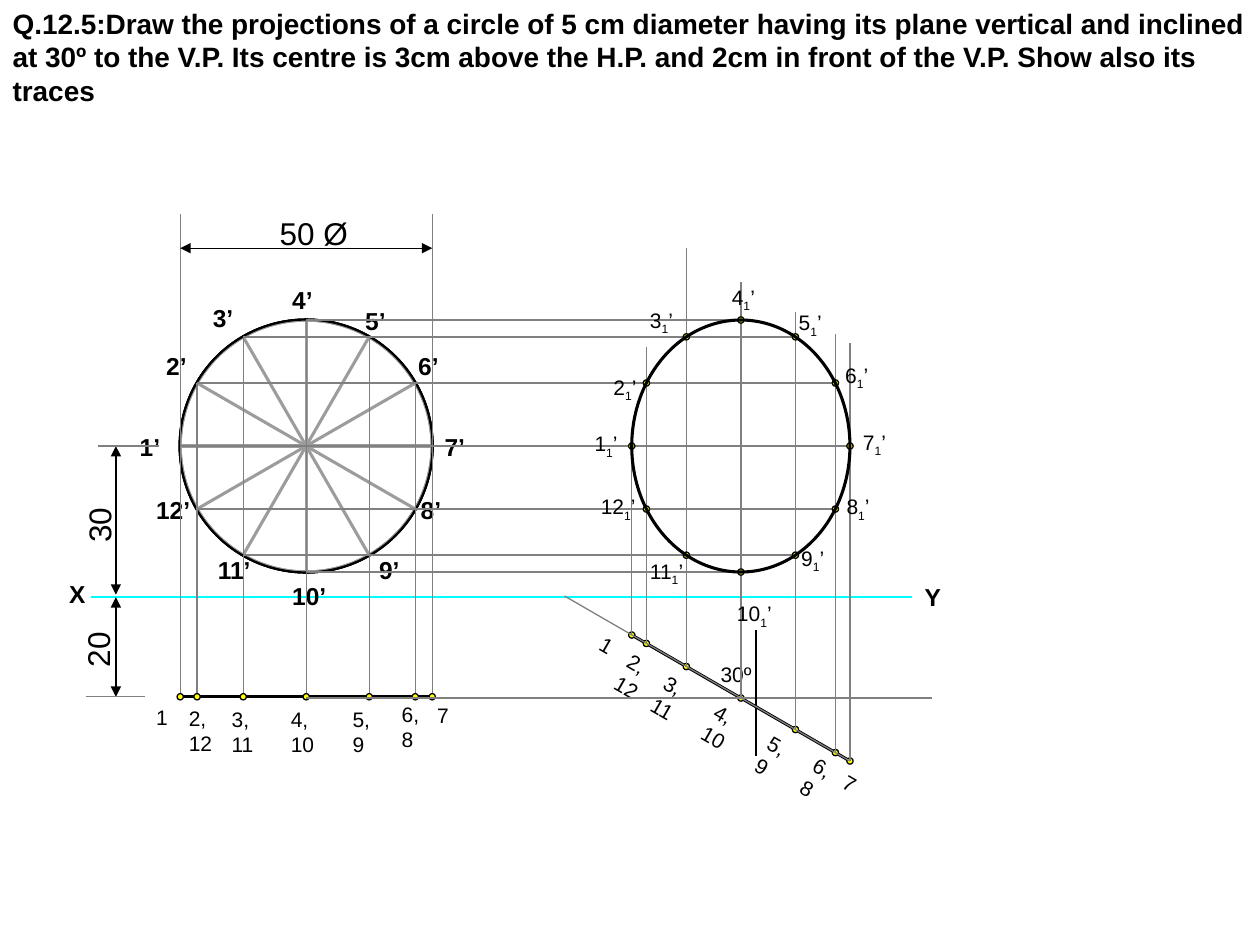
import math

import pptx
import pptx.dml.color
import pptx.enum.shapes
import pptx.enum.text
import pptx.oxml
import pptx.oxml.ns
import pptx.util
from pptx.util import Inches

COLORS = {"ink": "000000", "guide": "808080", "axis": "00FFFF",
          "dot": "FFFF00", "paper": "FFFFFF"}
FONT = "Arial"
SHAPES = pptx.enum.shapes.MSO_SHAPE
RADIUS, CENTRE_X, CENTRE_Y = 1, 2.43, 3.54
PLAN_Y, TILTED_X, TILTED_Y = 5.53, 5.88, 5.54
TILT = math.radians(30)

# Horizontal offset and height of each of the twelve points on the circle
POINTS = [(-RADIUS * math.cos(math.radians(30 * n)),
           RADIUS * math.sin(math.radians(30 * n))) for n in range(12)]
PLAN_LABELS = ["1", "2, 12", "3, 11", "4, 10", "5, 9", "6, 8", "7"]
LABEL_SIZES = [(0.29, 0.3)] + [(0.43, 0.5)] * 3 + [(0.34, 0.5)] * 2 + [(0.29, 0.3)]

# Left and top of the labels, in point order
CIRCLE_LABELS = [(1.01, 3.38), (1.22, 2.74), (1.59, 2.36), (2.22, 2.21),
                 (2.8, 2.38), (3.22, 2.74), (3.43, 3.38), (3.24, 3.88),
                 (2.91, 4.36), (2.22, 4.56), (1.63, 4.36), (1.14, 3.88)]
ELLIPSE_LABELS = [(4.62, 3.37), (4.77, 2.92), (5.06, 2.39), (5.71, 2.21),
                  (6.24, 2.41), (6.61, 2.83), (6.75, 3.36), (6.62, 3.87),
                  (6.26, 4.28), (5.75, 4.72), (5.06, 4.38), (4.67, 3.87)]
FLAT_LABELS = [(1.14, 5.54), (1.4, 5.55), (1.74, 5.56), (2.21, 5.56),
               (2.7, 5.56), (3.09, 5.52), (3.37, 5.53)]
TILTED_LABELS = [(4.67, 4.97), (4.83, 5.13), (5.12, 5.3), (5.52, 5.53),
                 (5.95, 5.76), (6.31, 5.93), (6.6, 6.07)]
PROJECTOR_TOPS = [3.45, 2.75, 1.97, 2.24, 2.48, 2.65, 2.72]


def rgb(name):
    return pptx.dml.color.RGBColor.from_string(COLORS[name])


def set_line(shape, color, width):
    shape.line.color.rgb = rgb(color)
    shape.line.width = pptx.util.Pt(width)


def add_line(page, start, end, color="guide", width=0.75, arrows=False):
    line = page.shapes.add_connector(
        pptx.enum.shapes.MSO_CONNECTOR.STRAIGHT,
        *[Inches(value) for value in (*start, *end)])
    set_line(line, color, width)
    if arrows:
        for tag in ("a:headEnd", "a:tailEnd"):
            arrow = pptx.oxml.parse_xml(
                f"<{tag} {pptx.oxml.ns.nsdecls('a')} type='triangle'/>")
            line.line._get_or_add_ln().append(arrow)
    line._element.spPr.append(pptx.oxml.parse_xml(
        f"<a:effectLst {pptx.oxml.ns.nsdecls('a')}/>"))


def add_outline(page, kind, left, top, width, height, weight=1.75, fill=None, turn=0):
    shape = page.shapes.add_shape(
        kind, Inches(left), Inches(top), Inches(width), Inches(height))
    shape.shadow.inherit = False
    shape.rotation = turn
    if fill:
        shape.fill.solid()
        shape.fill.fore_color.rgb = rgb(fill)
    else:
        shape.fill.background()
    set_line(shape, "ink", weight)
    return shape


def add_dot(page, x, y):
    size = 0.05
    add_outline(page, SHAPES.OVAL, x - size / 2, y - size / 2, size, size, 0.75, "dot")


def set_font(para, size, bold=False):
    para.font.name = FONT
    para.font.size = pptx.util.Pt(size)
    para.font.bold = bold
    para.font.color.rgb = rgb("ink")


def add_label(page, text, left, top, width, height, size=12, bold=False, turn=0, sub=None):
    box = page.shapes.add_textbox(
        Inches(left), Inches(top), Inches(width), Inches(height))
    box.rotation = turn
    box.text_frame.word_wrap = True
    box.text_frame.margin_right = 0
    para = box.text_frame.paragraphs[0]
    set_font(para, size, bold)
    para.add_run().text = text
    if sub:
        span = para.add_run()
        span.text = sub
        span._r.get_or_add_rPr().set("baseline", "-25000")
        para.add_run().text = "’"


def add_title(page):
    title = page.shapes.title
    title.left, title.top = Inches(0), Inches(0)
    title.width, title.height = Inches(10), Inches(0.9)
    frame = title.text_frame
    frame.text = ("Q.12.5:Draw the projections of a circle of 5 cm diameter having its "
                  "plane vertical and inclined at 30º to the V.P. Its centre is 3cm above "
                  "the H.P. and 2cm in front of the V.P. Show also its traces")
    frame.word_wrap = True
    frame.auto_size = pptx.enum.text.MSO_AUTO_SIZE.NONE
    frame.vertical_anchor = pptx.enum.text.MSO_ANCHOR.TOP
    para = frame.paragraphs[0]
    para.alignment = pptx.enum.text.PP_ALIGN.LEFT
    set_font(para, 16, True)


def add_circle(page):
    bounds = (CENTRE_X - RADIUS, CENTRE_Y - RADIUS, 2 * RADIUS, 2 * RADIUS)
    for turn in (0, 30, 60):
        add_outline(page, SHAPES.FLOWCHART_OR, *bounds, turn=turn)
    # A translucent disc softens the spokes
    disc = add_outline(page, SHAPES.OVAL, *bounds, weight=0.75, fill="paper")
    color = disc.fill._xPr.find(".//" + pptx.oxml.ns.qn("a:srgbClr"))
    color.append(pptx.oxml.parse_xml(
        f"<a:alpha {pptx.oxml.ns.nsdecls('a')} val='61000'/>"))
    for number, (left, top) in enumerate(CIRCLE_LABELS, 1):
        add_label(page, f"{number}’", left, top, 0.58 if number > 9 else 0.42, 0.33, 14, True)


def add_heights(page):
    for x, top, bottom in ((0.92, CENTRE_Y, 4.72), (0.92, 4.74, PLAN_Y)):
        add_line(page, (x, top), (x, bottom), "ink", arrows=True)
    add_line(page, (0.78, CENTRE_Y), (1.26, CENTRE_Y))
    add_line(page, (0.68, PLAN_Y), (1.15, PLAN_Y))
    add_label(page, "30", 0.53, 3.95, 0.51, 0.4, 18, turn=270)
    add_label(page, "20", 0.52, 4.94, 0.51, 0.4, 18, turn=270)


def add_plan_labels(page, places, turn=0):
    for text, place, size in zip(PLAN_LABELS, places, LABEL_SIZES):
        add_label(page, text, *place, *size, turn=turn)


def add_flat_plan(page):
    add_line(page, (CENTRE_X - RADIUS, PLAN_Y), (CENTRE_X + RADIUS, PLAN_Y), "ink", 1.75)
    for offset, rise in POINTS[:7]:
        x = CENTRE_X + offset
        add_line(page, (x, CENTRE_Y - rise), (x, PLAN_Y))
        add_dot(page, x, PLAN_Y)
    add_plan_labels(page, FLAT_LABELS)


def add_tilted_plan(page):
    places = [(TILTED_X + offset * math.cos(TILT), TILTED_Y + offset * math.sin(TILT))
              for offset, _ in POINTS[:7]]
    add_line(page, places[0], places[-1], "ink", 1.75)
    for place in places:
        add_dot(page, *place)
    add_plan_labels(page, TILTED_LABELS, 30)
    add_line(page, (CENTRE_X, TILTED_Y), (7.4, TILTED_Y))
    # Angle mark
    arc = [(TILTED_X - 0.28 * math.cos(TILT * step / 8),
            TILTED_Y - 0.28 * math.sin(TILT * step / 8)) for step in range(9)]
    builder = page.shapes.build_freeform(*arc[0], scale=Inches(1))
    builder.add_line_segments(arc[1:], close=False)
    mark = builder.convert_to_shape()
    mark.shadow.inherit = False
    mark.fill.background()
    set_line(mark, "ink", 0.75)
    add_label(page, "30º", 5.62, 5.2, 0.48, 0.3)
    # Trace and projectors
    add_line(page, places[-1], (4.48, 4.73))
    for (x, y), top in zip(places, PROJECTOR_TOPS):
        add_line(page, (x, y), (x, top))


def add_ellipse_view(page):
    half_width = RADIUS * math.cos(TILT)
    # Levels carried across from the left half of the circle
    for offset, rise in POINTS[:4] + POINTS[9:]:
        y = CENTRE_Y - rise
        end = TILTED_X + abs(offset) * math.cos(TILT) + 0.03
        add_line(page, (CENTRE_X + offset, y), (end, y))
    for number, ((offset, rise), place) in enumerate(zip(POINTS, ELLIPSE_LABELS), 1):
        add_dot(page, TILTED_X + offset * math.cos(TILT), CENTRE_Y - rise)
        add_label(page, str(number), *place, 0.49, 0.3, sub="1")
    add_outline(page, SHAPES.OVAL, TILTED_X - half_width, CENTRE_Y - RADIUS,
                2 * half_width, 2 * RADIUS)


def add_diameter(page):
    left, right = CENTRE_X - RADIUS, CENTRE_X + RADIUS
    for x in (left, right):
        add_line(page, (x, CENTRE_Y), (x, 1.7))
    add_line(page, (left, 1.97), (right, 1.97), "ink", arrows=True)
    add_label(page, "50 Ø", 2.12, 1.65, 0.79, 0.4, 18)


def main():
    deck = pptx.Presentation()
    deck.slide_width, deck.slide_height = Inches(10), Inches(7.5)
    page = deck.slides.add_slide(deck.slide_layouts[5])
    add_title(page)
    # Reference line
    add_line(page, (0.72, 4.74), (7.24, 4.74), "axis", 1)
    add_label(page, "X", 0.45, 4.55, 0.46, 0.33, 14, True)
    add_label(page, "Y", 7.24, 4.57, 0.3, 0.33, 14, True)
    # Views and dimensions
    add_circle(page)
    add_heights(page)
    add_flat_plan(page)
    add_tilted_plan(page)
    add_ellipse_view(page)
    add_diameter(page)
    deck.save("out.pptx")


if __name__ == "__main__":
    main()
